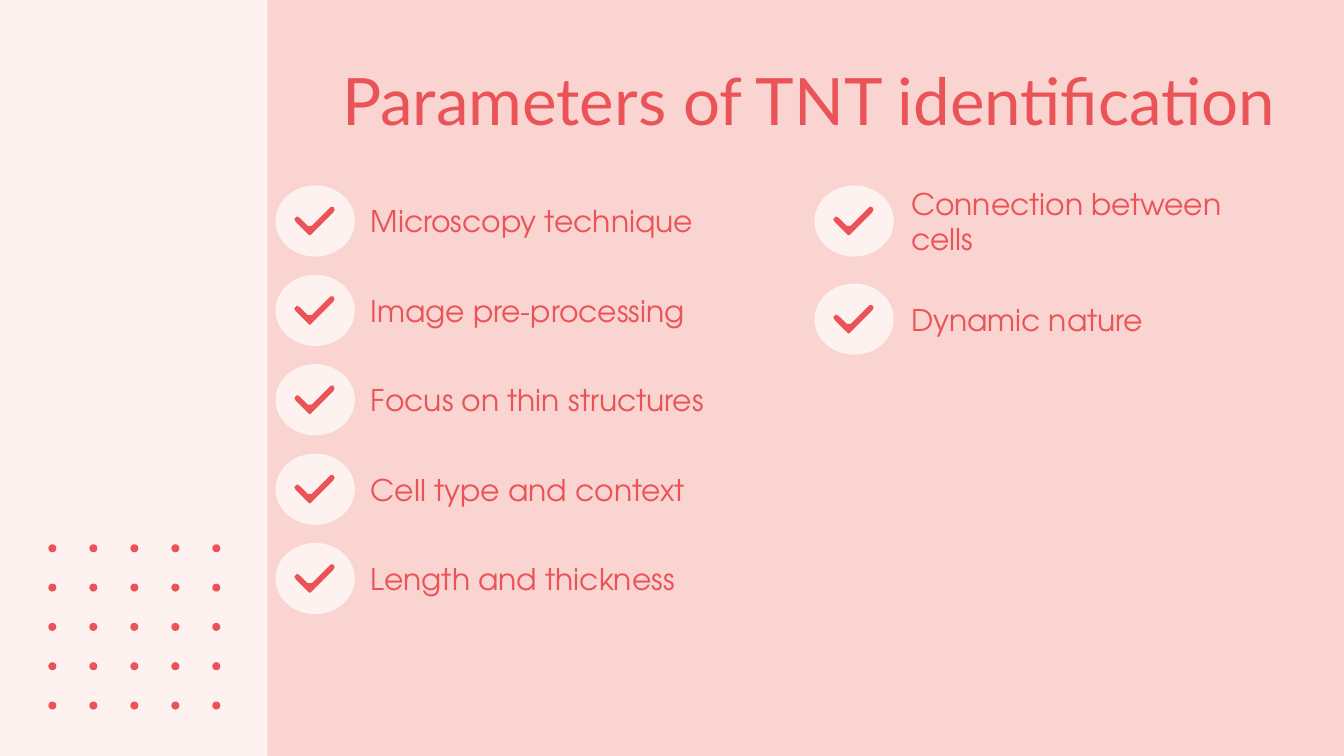
from dataclasses import dataclass
from itertools import product

from pptx import Presentation
from pptx.dml.color import RGBColor
from pptx.enum.shapes import MSO_SHAPE
from pptx.enum.text import MSO_ANCHOR, MSO_AUTO_SIZE, PP_ALIGN
from pptx.shapes.base import BaseShape
from pptx.slide import Slide
from pptx.text.text import TextFrame
from pptx.util import Inches, Pt

OVAL, RECT = MSO_SHAPE.OVAL, MSO_SHAPE.RECTANGLE
TOP, MIDDLE = MSO_ANCHOR.TOP, MSO_ANCHOR.MIDDLE
CENTER, LEFT = PP_ALIGN.CENTER, PP_ALIGN.LEFT
NO_FIT = MSO_AUTO_SIZE.NONE

COLORS = {"back": "F9D4D0", "pale": "FEF2F0", "red": "EA5458"}
WIDE = 10
HIGH = WIDE * 9 / 16

# Tick outline, in hundredths of an inch from the corner of its badge
TICK = [(41, 16), (40, 17), (27, 30), (26, 30), (24, 30), (18, 24), (16, 23),
        (15, 24), (14, 25), (15, 27), (24, 36), (25, 37), (26, 37), (27, 36),
        (43, 20), (44, 18), (43, 16)]


@dataclass
class Column:
    left: float
    indent: float
    last_top: float
    items: list[str]


COLUMNS = [
    Column(2.05, 0.61, 4.04, ["Microscopy technique", "Image pre-processing",
                              "Focus on thin structures",
                              "Cell type and context",
                              "Length and thickness"]),
    Column(6.06, 0.62, 2.11, ["Connection between cells", "Dynamic nature"]),
]
LIST_TOP = 1.38
ROW_HIGH = 0.53
DOT = 0.06
DOT_COUNT = 5


def paint(shape: BaseShape, color: str) -> None:
    shape.shadow.inherit = False
    shape.fill.solid()
    shape.fill.fore_color.rgb = RGBColor.from_string(COLORS[color])
    shape.line.fill.background()


def add_plain(slide: Slide, kind: MSO_SHAPE, x: float, y: float,
              wide: float, high: float, color: str) -> None:
    shape = slide.shapes.add_shape(kind, Inches(x), Inches(y),
                                   Inches(wide), Inches(high))
    paint(shape, color)


def set_text(frame: TextFrame, text: str, font: str, size: int,
             align: PP_ALIGN, anchor: MSO_ANCHOR) -> None:
    frame.text = text
    frame.word_wrap = True
    frame.auto_size = NO_FIT
    frame.vertical_anchor = anchor
    frame.margin_left = frame.margin_right = Inches(0.1)
    frame.margin_top = frame.margin_bottom = Inches(0.1)
    line = frame.paragraphs[0]
    line.alignment = align
    line.font.name = font
    line.font.size = Pt(size)
    line.font.color.rgb = RGBColor.from_string(COLORS["red"])


def add_tick(slide: Slide, x: float, y: float) -> None:
    points = [(Inches(x + dx / 100), Inches(y + dy / 100)) for dx, dy in TICK]
    pen = slide.shapes.build_freeform(*points[0])
    pen.add_line_segments(points[1:], close=True)
    paint(pen.convert_to_shape(), "red")


def add_column(slide: Slide, column: Column) -> None:
    pitch = (column.last_top - LIST_TOP) / (len(column.items) - 1)
    for row, text in enumerate(column.items):
        x, y = column.left, LIST_TOP + row * pitch
        box = slide.shapes.add_textbox(Inches(x + column.indent), Inches(y),
                                       Inches(2.71), Inches(ROW_HIGH))
        set_text(box.text_frame, text, "TeX Gyre Adventor", 16, LEFT, MIDDLE)
        add_plain(slide, OVAL, x, y, 0.59, ROW_HIGH, "pale")
        add_tick(slide, x, y)


def add_dots(slide: Slide) -> None:
    gap_x, gap_y = 1.22 / (DOT_COUNT - 1), 1.17 / (DOT_COUNT - 1)
    for col, row in product(range(DOT_COUNT), repeat=2):
        add_plain(slide, OVAL, 0.36 + gap_x * col, 4.05 + gap_y * row,
                  DOT, DOT, "red")


def add_title(slide: Slide, text: str) -> None:
    title = slide.shapes.title
    title.left, title.top = Inches(1.85), Inches(0.35)
    title.width, title.height = Inches(8.34), Inches(0.63)
    set_text(title.text_frame, text, "Lato", 35, CENTER, TOP)


def main() -> None:
    deck = Presentation()
    deck.slide_width, deck.slide_height = Inches(WIDE), Inches(HIGH)
    slide = deck.slides.add_slide(deck.slide_layouts[5])
    fill = slide.background.fill
    fill.solid()
    fill.fore_color.rgb = RGBColor.from_string(COLORS["back"])

    add_plain(slide, RECT, 0, 0, 1.99, HIGH, "pale")
    add_dots(slide)
    add_title(slide, "Parameters of TNT identification")
    for column in COLUMNS:
        add_column(slide, column)
    deck.save("out.pptx")


if __name__ == "__main__":
    main()
